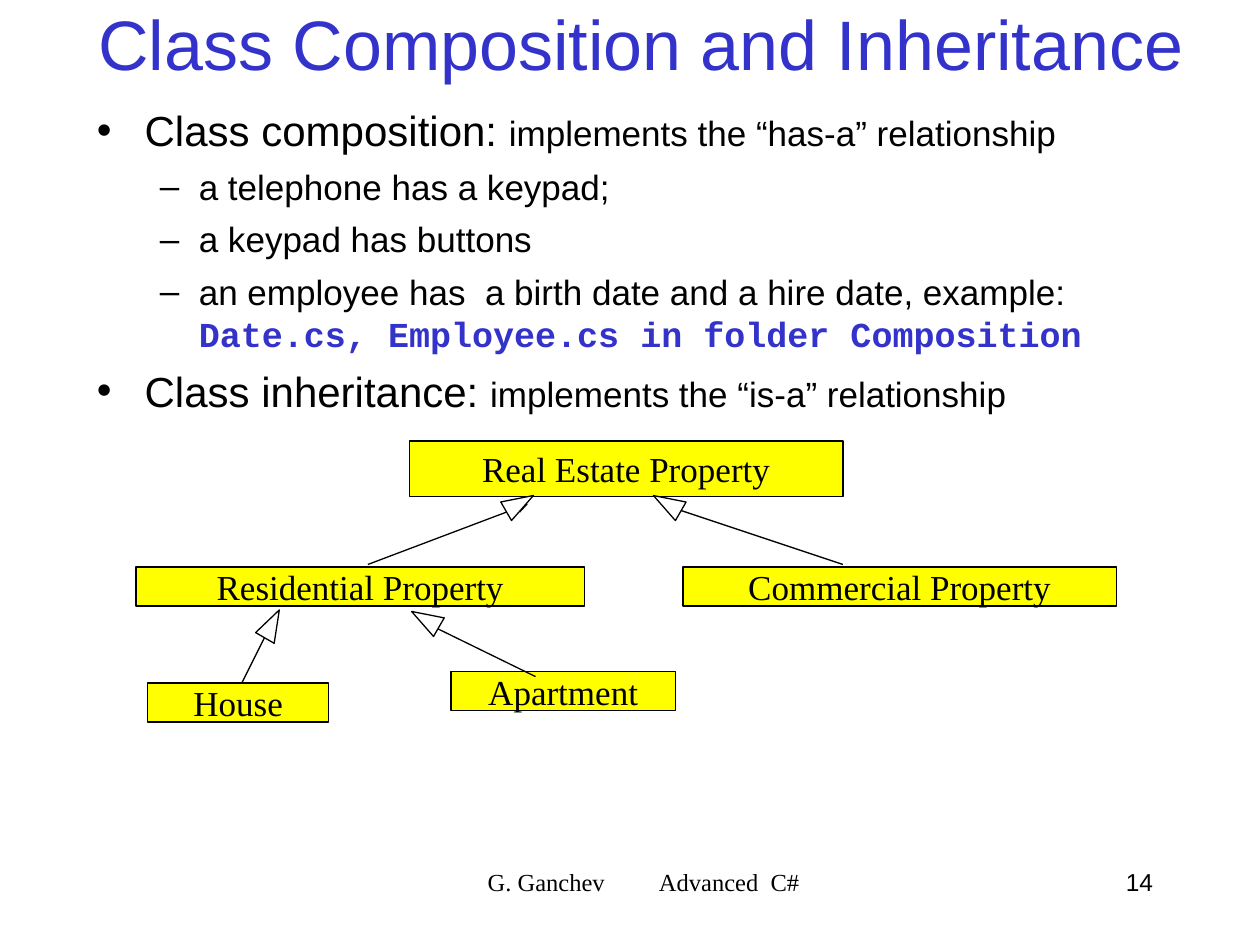
from lxml import etree
from pptx import Presentation
from pptx.dml.color import RGBColor
from pptx.enum.shapes import MSO_CONNECTOR, MSO_SHAPE
from pptx.enum.text import MSO_ANCHOR, PP_ALIGN
from pptx.oxml.ns import qn
from pptx.util import Inches, Pt

LEFT, CENTER, RIGHT = PP_ALIGN.LEFT, PP_ALIGN.CENTER, PP_ALIGN.RIGHT
TOP, MIDDLE = MSO_ANCHOR.TOP, MSO_ANCHOR.MIDDLE
RECTANGLE, TRIANGLE = MSO_SHAPE.RECTANGLE, MSO_SHAPE.ISOSCELES_TRIANGLE
STRAIGHT = MSO_CONNECTOR.STRAIGHT

BLACK, BLUE, YELLOW, WHITE = "000000", "3333CC", "FFFF00", "FFFFFF"
SANS, SERIF, MONO = "Arial", "Times New Roman", "Courier New"

# Bullet sign, left margin and hanging indent (inches) per level
LEVELS = [("•", 0.38, -0.38), ("–", 0.81, -0.31)]


def color(hex_value):
    return RGBColor.from_string(hex_value)


def set_font(font, name, size, hex_value, bold=False):
    font.name = name
    font.size = Pt(size)
    font.color.rgb = color(hex_value)
    font.bold = bold


class SlideBuilder:
    line_width = Pt(0.75)

    def __init__(self, slide):
        self.slide = slide

    def text_box(self, left, top, width, height, anchor=TOP):
        box = self.slide.shapes.add_textbox(
            Inches(left), Inches(top), Inches(width), Inches(height))
        frame = box.text_frame
        frame.word_wrap = True
        frame.vertical_anchor = anchor
        return frame

    def label(self, frame, text, font, size, hex_value, align):
        paragraph = frame.paragraphs[0]
        paragraph.text = text
        paragraph.alignment = align
        set_font(paragraph.font, font, size, hex_value)
        return paragraph

    def bullet(self, paragraph, level, runs):
        """Fill a bulleted paragraph; runs are (text, font, size, colour, bold)."""
        sign, margin, indent = LEVELS[level]
        paragraph.level = level
        properties = paragraph._p.get_or_add_pPr()
        properties.set("marL", str(Inches(margin)))
        properties.set("indent", str(Inches(indent)))
        etree.SubElement(properties, qn("a:buFont"), typeface=SANS)
        etree.SubElement(properties, qn("a:buChar"), char=sign)
        for text, *style in runs:
            run = paragraph.add_run()
            run.text = text
            set_font(run.font, *style)

    def outlined(self, kind, left, top, width, height, fill):
        shape = self.slide.shapes.add_shape(
            kind, Inches(left), Inches(top), Inches(width), Inches(height))
        shape.shadow.inherit = False
        shape.fill.solid()
        shape.fill.fore_color.rgb = color(fill)
        shape.line.color.rgb = color(BLACK)
        shape.line.width = self.line_width
        return shape

    def class_box(self, text, left, top, width, height=0.31):
        frame = self.outlined(RECTANGLE, left, top, width, height, YELLOW).text_frame
        frame.word_wrap = False
        frame.vertical_anchor = MIDDLE
        self.label(frame, text, SERIF, 20, BLACK, CENTER)

    def arrow(self, start, end):
        connector = self.slide.shapes.add_connector(
            STRAIGHT, *(Inches(value) for value in start + end))
        connector.line.color.rgb = color(BLACK)
        connector.line.width = self.line_width
        etree.SubElement(connector.line._get_or_add_ln(), qn("a:tailEnd"), type="triangle")
        etree.SubElement(connector._element.spPr, qn("a:effectLst"))

    def inheritance_head(self, left, top, rotation, apex=0.5):
        head = self.outlined(TRIANGLE, left, top, 0.17, 0.25, WHITE)
        head.adjustments[0] = apex
        head.rotation = rotation


def main():
    presentation = Presentation()
    presentation.slide_width, presentation.slide_height = Inches(10), Inches(7.5)
    slide = presentation.slides.add_slide(presentation.slide_layouts[6])
    builder = SlideBuilder(slide)

    footer = builder.text_box(2.56, 6.83, 5.11, 0.5)
    footer.margin_left = Inches(1.31)
    paragraph = footer.paragraphs[0]
    tabs = etree.SubElement(paragraph._p.get_or_add_pPr(), qn("a:tabLst"))
    etree.SubElement(tabs, qn("a:tab"), pos=str(Inches(1.36)), algn="l")
    builder.label(footer, "G. Ganchev\tAdvanced  C#", SERIF, 14, BLACK, LEFT)

    number = builder.text_box(7.17, 6.83, 2.08, 0.5)
    builder.label(number, "14", SANS, 14, BLACK, RIGHT)

    title = builder.text_box(0.67, 0, 8.83, 0.67, MIDDLE)
    title.margin_left = title.margin_right = 0
    builder.label(title, "Class Composition and Inheritance", SANS, 40, BLUE, CENTER)

    heading = (SANS, 24, BLACK, False)
    detail = (SANS, 20, BLACK, False)
    code = (MONO, 20, BLUE, True)
    items = [
        (0, [("Class composition: ", *heading),
             ("implements the “has-a” relationship", *detail)]),
        (1, [("a telephone has a keypad;", *detail)]),
        (1, [("a keypad has buttons", *detail)]),
        (1, [("an employee has  a birth date and a hire date, example: ", *detail),
             ("Date.cs, Employee.cs in folder Composition", *code)]),
        (0, [("Class inheritance: ", *heading),
             ("implements the “is-a” relationship", *detail)]),
    ]
    body = builder.text_box(0.67, 0.75, 8.5, 5.94)
    body.margin_top = Inches(0.08)
    for index, (level, runs) in enumerate(items):
        paragraph = body.add_paragraph() if index else body.paragraphs[0]
        if index:
            paragraph.space_before = Pt(6)
        builder.bullet(paragraph, level, runs)

    builder.class_box("Real Estate Property", 3.25, 3.5, 3.44, 0.44)
    builder.class_box("Residential Property", 1.08, 4.5, 3.56)
    builder.class_box("Commercial Property", 5.42, 4.5, 3.44)
    builder.class_box("House", 1.17, 5.42, 1.44)
    builder.class_box("Apartment", 3.58, 5.33, 1.78)

    for start, end in [
        ((2.92, 4.48), (4.19, 4)),
        ((6.69, 4.48), (5.25, 4)),
        ((1.92, 5.42), (2.17, 4.92)),
        ((4.25, 5.37), (3.33, 4.92)),
    ]:
        builder.arrow(start, end)

    builder.inheritance_head(2.08, 4.83, 30, apex=0.43)
    builder.inheritance_head(5.21, 3.87, 300)
    builder.inheritance_head(4.04, 3.87, 60)
    builder.inheritance_head(3.29, 4.79, 300)

    presentation.save("out.pptx")


if __name__ == "__main__":
    main()
